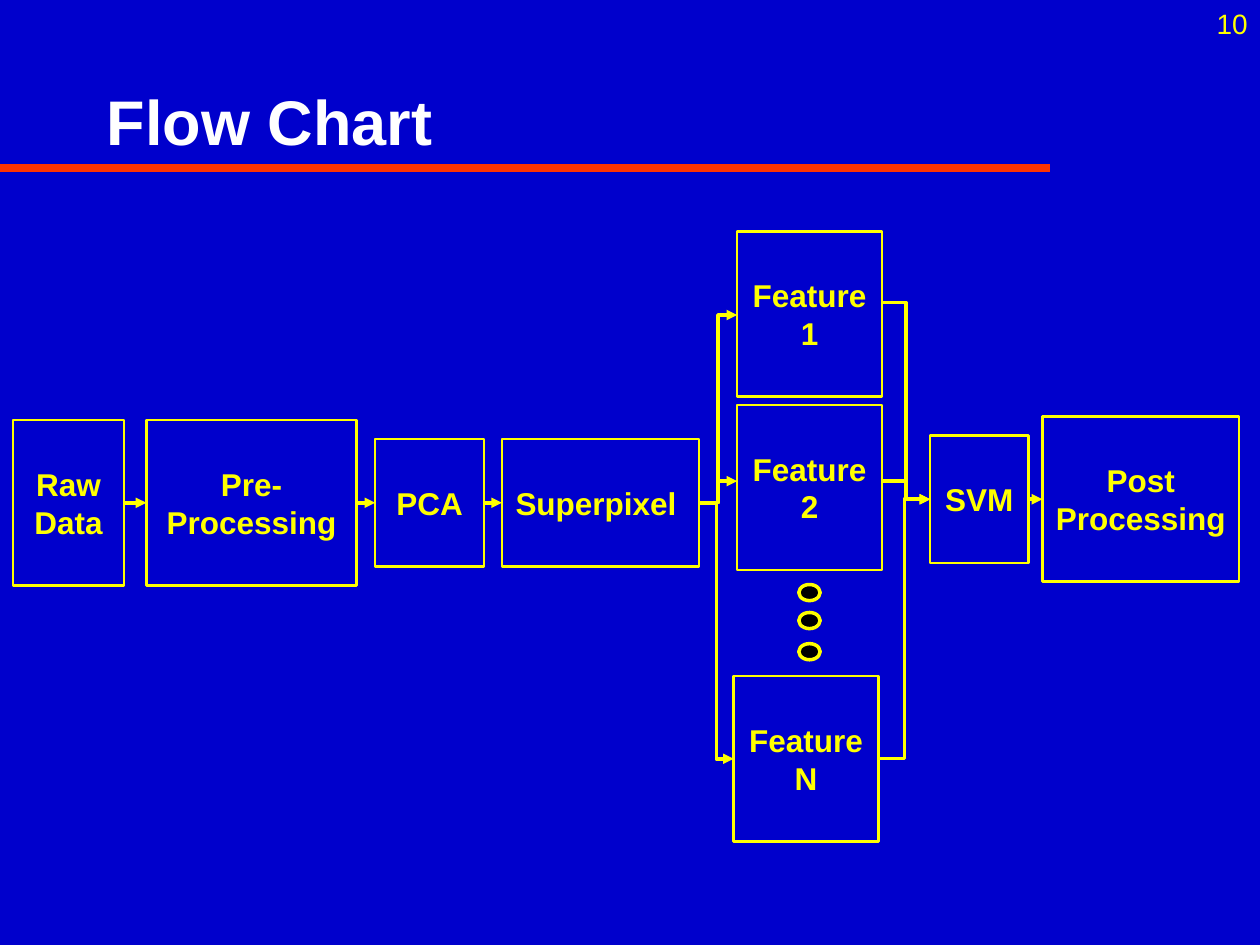
from lxml import etree
from pptx import Presentation
from pptx.dml.color import RGBColor
from pptx.enum.shapes import MSO_CONNECTOR, MSO_SHAPE
from pptx.enum.text import MSO_ANCHOR, PP_ALIGN
from pptx.oxml.ns import qn
from pptx.util import Pt

RECTANGLE, OVAL = MSO_SHAPE.RECTANGLE, MSO_SHAPE.OVAL
STRAIGHT, ELBOW = MSO_CONNECTOR.STRAIGHT, MSO_CONNECTOR.ELBOW
LEFT, CENTER, RIGHT = PP_ALIGN.LEFT, PP_ALIGN.CENTER, PP_ALIGN.RIGHT
TOP, MIDDLE = MSO_ANCHOR.TOP, MSO_ANCHOR.MIDDLE

COLORS = {"background": "0000CC", "rule": "FF3300", "title": "FFFFFF",
          "accent": "FFFF00", "dot": "000000"}
FRONT_Y, BACK_Y = 287.3, 285.3
FEATURE_1_IN, FEATURE_1_OUT, FEATURE_2_Y, FEATURE_N_Y = 180, 172.8, 275, 433.6
TALL, SHORT = 94.4, 72.7

BOXES = {
    "Raw Data": (7.4, FRONT_Y, 63.5, TALL),
    "Pre-Processing": (83.6, FRONT_Y, 120.3, TALL),
    "PCA": (214.4, FRONT_Y, 62.3, SHORT),
    "Superpixel ": (286.8, FRONT_Y, 112.6, SHORT),
    "Feature 1": (421.2, 179.6, 82.8, TALL),
    "Feature 2": (421.2, 278.6, 82.8, TALL),
    "Feature N": (419.2, FEATURE_N_Y, 82.8, TALL),
    "SVM": (531.5, BACK_Y, 56.3, SHORT),
    "Post Processing": (595.6, BACK_Y, 112.5, TALL),
}
LINKS = [
    ("Raw Data", FRONT_Y, "Pre-Processing", FRONT_Y),
    ("Pre-Processing", FRONT_Y, "PCA", FRONT_Y),
    ("PCA", FRONT_Y, "Superpixel ", FRONT_Y),
    ("Superpixel ", FRONT_Y, "Feature 1", FEATURE_1_IN),
    ("Superpixel ", FRONT_Y, "Feature 2", FEATURE_2_Y),
    ("Superpixel ", FRONT_Y, "Feature N", FEATURE_N_Y),
    ("Feature 1", FEATURE_1_OUT, "SVM", BACK_Y),
    ("Feature 2", FEATURE_2_Y, "SVM", BACK_Y),
    ("Feature N", FEATURE_N_Y, "SVM", BACK_Y),
    ("SVM", BACK_Y, "Post Processing", BACK_Y),
]
DOT_TOPS = (334, 350, 367.8)


def color(name):
    """Return the named palette colour."""
    return RGBColor.from_string(COLORS[name])


def write_text(shape, text, size, color_name, align, anchor, bold=False):
    """Put one styled paragraph in a shape."""
    frame = shape.text_frame
    frame.word_wrap = True
    frame.vertical_anchor = anchor
    paragraph = frame.paragraphs[0]
    paragraph.text = text
    paragraph.alignment = align
    font = paragraph.font
    font.name, font.size, font.bold = "Arial", Pt(size), bold
    font.color.rgb = color(color_name)


def add_label(slide, bounds, *style):
    """Add a text box with the given bounds and text style."""
    write_text(slide.shapes.add_textbox(*map(Pt, bounds)), *style)


def add_outlined(slide, kind, bounds, line_width):
    """Add an unfilled preset shape with an accent outline."""
    shape = slide.shapes.add_shape(kind, *map(Pt, bounds))
    shape.shadow.inherit = False
    shape.fill.background()
    shape.line.color.rgb = color("accent")
    shape.line.width = Pt(line_width)
    return shape


def add_box(slide, text, left, center_y, width, height):
    """Add a labelled step centred on a row."""
    shape = add_outlined(slide, RECTANGLE, (left, center_y - height / 2, width, height), 1.5)
    shape.text_frame.margin_left = shape.text_frame.margin_right = Pt(6)
    write_text(shape, text, 18, "accent", CENTER, MIDDLE, True)


def add_dot(slide, top):
    """Add one dot of the ellipsis between features."""
    shape = add_outlined(slide, OVAL, (456.5, top, 12.2, 9.2), 2)
    shape.fill.solid()
    shape.fill.fore_color.rgb = color("dot")


def add_line(slide, kind, points, color_name, width):
    """Add a connector without a shadow."""
    connector = slide.shapes.add_connector(kind, *map(Pt, points))
    connector.line.color.rgb = color(color_name)
    connector.line.width = Pt(width)
    etree.SubElement(connector._element.spPr, qn("a:effectLst"))
    return connector


def add_arrow(slide, source, source_y, target, target_y):
    """Link the right edge of one box to the left edge of another."""
    left, _, width, _ = BOXES[source]
    points = (left + width, source_y, BOXES[target][0], target_y)
    kind = STRAIGHT if source_y == target_y else ELBOW
    connector = add_line(slide, kind, points, "accent", 2)
    etree.SubElement(connector.line._get_or_add_ln(), qn("a:tailEnd"), type="triangle")


def main():
    """Build the flow chart slide and save it."""
    presentation = Presentation()
    presentation.slide_width, presentation.slide_height = Pt(720), Pt(540)
    slide = presentation.slides.add_slide(presentation.slide_layouts[6])
    slide.background.fill.solid()
    slide.background.fill.fore_color.rgb = color("background")

    add_line(slide, STRAIGHT, (0, 96, 600, 96), "rule", 4.5)
    add_label(slide, (54, 36, 612, 66), "Flow Chart", 36, "title", LEFT, MIDDLE, True)
    add_label(slide, (570, 0, 150, 36), "10", 16, "accent", RIGHT, TOP)
    for text, bounds in BOXES.items():
        add_box(slide, text, *bounds)
    for top in DOT_TOPS:
        add_dot(slide, top)
    for link in LINKS:
        add_arrow(slide, *link)
    presentation.save("out.pptx")


if __name__ == "__main__":
    main()
